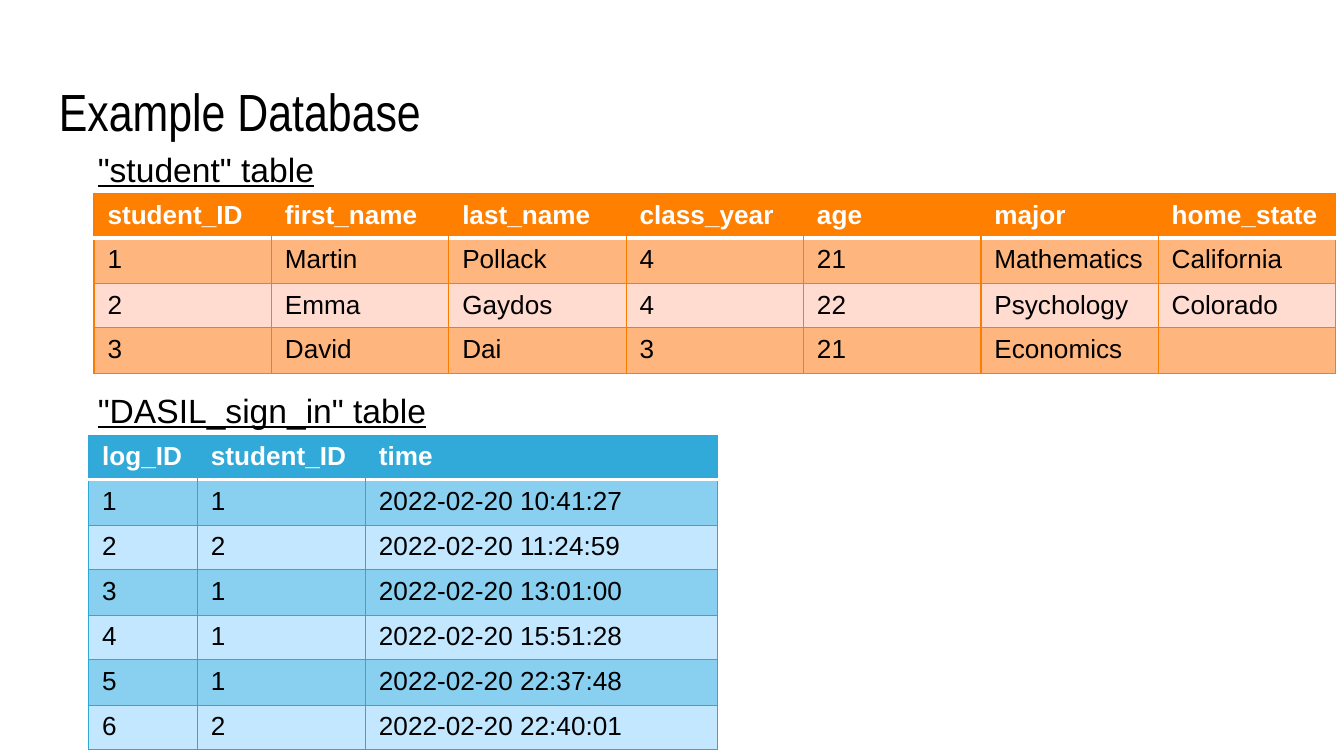
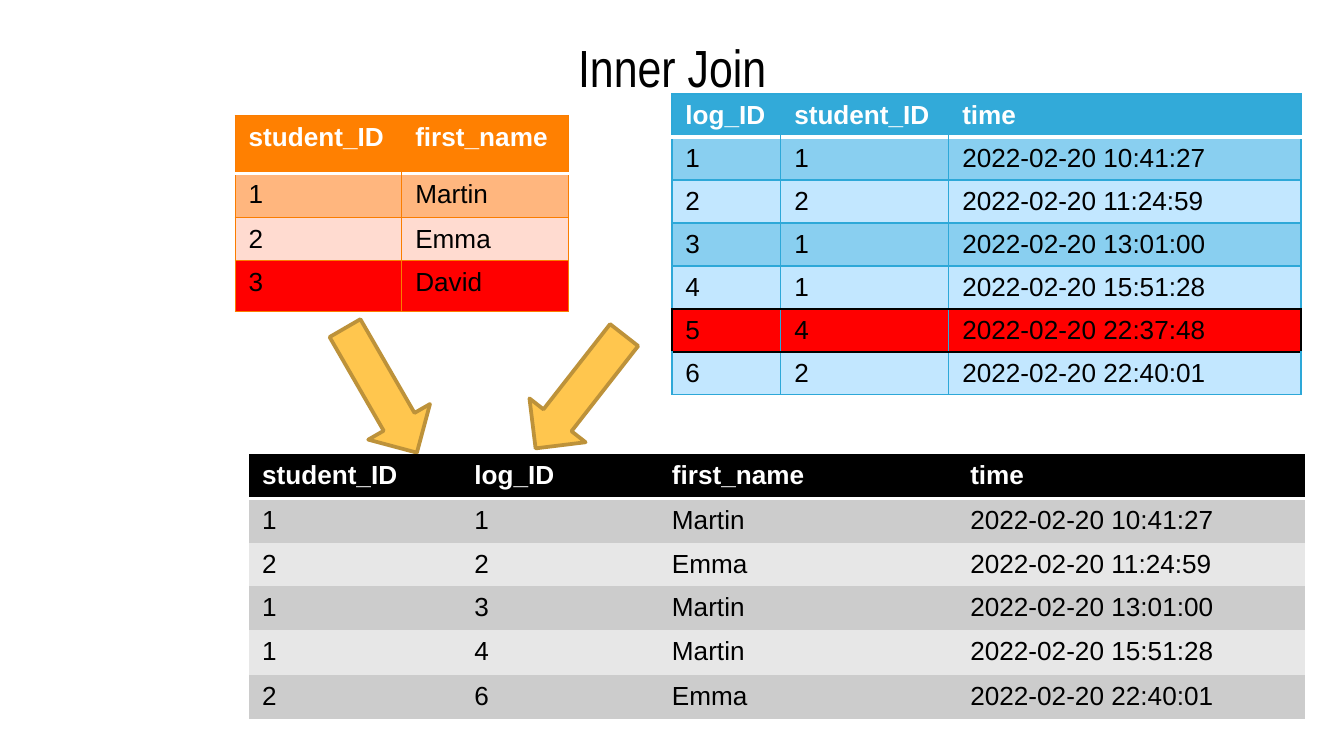
from dataclasses import dataclass
from typing import Optional

import pptx
import pptx.dml.color
import pptx.enum.shapes
import pptx.enum.text
import pptx.oxml.ns
import pptx.util
from lxml import etree

Inches = pptx.util.Inches
RGBColor = pptx.dml.color.RGBColor
Align = pptx.enum.text.PP_ALIGN
qn = pptx.oxml.ns.qn

BLACK = RGBColor(0x00, 0x00, 0x00)
WHITE = RGBColor(0xFF, 0xFF, 0xFF)
RED = RGBColor(0xFF, 0x00, 0x00)
ORANGE = RGBColor(0xFF, 0x80, 0x01)
ORANGE_MID = RGBColor(0xFF, 0xB6, 0x7E)
ORANGE_PALE = RGBColor(0xFF, 0xDB, 0xD0)
ORANGE_LINE = RGBColor(0xFA, 0x7D, 0x00)
BLUE = RGBColor(0x32, 0xAA, 0xD9)
BLUE_MID = RGBColor(0x89, 0xCF, 0xF0)
BLUE_PALE = RGBColor(0xC2, 0xE7, 0xFF)
BLUE_LINE = RGBColor(0x2D, 0xA8, 0xD8)
GREY_MID = RGBColor(0xCC, 0xCC, 0xCC)
GREY_PALE = RGBColor(0xE7, 0xE7, 0xE7)
GOLD = RGBColor(0xFF, 0xC6, 0x4E)
GOLD_LINE = RGBColor(0xBD, 0x92, 0x3A)

FONT = "Arial"
TITLE_FONT = "Arial Narrow"
NO_STYLE = "{2D5ABB26-0587-4C30-8999-92F81FD0307C}"
CELL_BOTTOM = Inches(0.03)


@dataclass(frozen=True)
class Theme:
    header: RGBColor
    odd: RGBColor
    even: RGBColor
    line: Optional[RGBColor]


@dataclass(frozen=True)
class Border:
    color: RGBColor
    width: float


@dataclass(frozen=True)
class DataTable:
    left: float
    top: float
    cols: list[float]
    heights: list[float]
    rows: list[list[str]]
    theme: Theme
    marked: Optional[int] = None  # row filled red
    outlined: bool = False  # black frame round the marked row


@dataclass(frozen=True)
class Arrow:
    left: float
    top: float
    rotation: float


ORANGE_THEME = Theme(ORANGE, ORANGE_MID, ORANGE_PALE, ORANGE_LINE)
BLUE_THEME = Theme(BLUE, BLUE_MID, BLUE_PALE, BLUE_LINE)
GREY_THEME = Theme(BLACK, GREY_MID, GREY_PALE, None)

# Data
STUDENTS = [
    ["student_ID", "first_name", "last_name", "class_year", "age", "major", "home_state"],
    ["1", "Martin", "Pollack", "4", "21", "Mathematics", "California"],
    ["2", "Emma", "Gaydos", "4", "22", "Psychology", "Colorado"],
    ["3", "David", "Dai", "3", "21", "Economics", ""],
]
SIGN_INS = [
    ["log_ID", "student_ID", "time"],
    ["1", "1", "2022-02-20 10:41:27"],
    ["2", "2", "2022-02-20 11:24:59"],
    ["3", "1", "2022-02-20 13:01:00"],
    ["4", "1", "2022-02-20 15:51:28"],
    ["5", "1", "2022-02-20 22:37:48"],
    ["6", "2", "2022-02-20 22:40:01"],
]
SIGN_IN_COLS = [0.81, 1.25, 2.62]
UNMATCHED = 5


def inner_join(students: list[list[str]], logs: list[list[str]]) -> list[list[str]]:
    names = {row[0]: row[1] for row in students}
    return [[sid, log, names[sid], time] for log, sid, time in logs if sid in names]


def write(tf, text: str, *, size: float, font: str = FONT, color: RGBColor = BLACK,
          bold: bool = False, underline: bool = False, align=Align.LEFT) -> None:
    p = tf.paragraphs[0]
    p.alignment = align
    if not text:  # keeps an empty cell as low as its neighbours
        etree.SubElement(p._p, qn("a:endParaRPr"), sz=str(int(size * 100)))
        return
    r = p.add_run()
    r.text = text
    r.font.size = pptx.util.Pt(size)
    r.font.name = font
    r.font.color.rgb = color
    r.font.bold = bold
    r.font.underline = underline


def add_text(s, text: str, left: float, top: float, width: float, height: float,
             inset: float = 0.05, **style) -> None:
    tf = s.shapes.add_textbox(Inches(left), Inches(top), Inches(width), Inches(height)).text_frame
    tf.word_wrap = True
    tf.margin_top = tf.margin_bottom = Inches(inset)
    write(tf, text, **style)


def add_title(s, text: str, top: float, align=Align.LEFT) -> None:
    add_text(s, text, 0.34, top, 9.32, 0.63, inset=0.1, size=28, font=TITLE_FONT, align=align)


def add_label(s, text: str, top: float) -> None:
    add_text(s, text, 0.63, top, 3, 0.4, size=18, underline=True)


def set_border(cell, side: str, border: Optional[Border]) -> None:
    ln = etree.SubElement(cell._tc.get_or_add_tcPr(), qn(f"a:ln{side}"))
    if border is None:
        etree.SubElement(ln, qn("a:noFill"))
        return
    ln.set("w", str(pptx.util.Pt(border.width)))
    fill = etree.SubElement(ln, qn("a:solidFill"))
    etree.SubElement(fill, qn("a:srgbClr"), val=str(border.color))


def row_border(t: DataTable, edge: int) -> Optional[Border]:
    """Border on the horizontal edge above row number `edge`."""
    if edge == 1:
        return Border(WHITE, 2)
    if t.outlined and edge in (t.marked, t.marked + 1):
        return Border(BLACK, 1)
    return Border(t.theme.line, 0.75) if t.theme.line else None


def column_border(t: DataTable, row: int, edge: int) -> Optional[Border]:
    """Border on the vertical edge left of column number `edge`."""
    outer = edge in (0, len(t.cols))
    if t.theme.line is None or (row == 0 and not outer):
        return None
    if t.outlined and row == t.marked and outer:
        return Border(BLACK, 1)
    return Border(t.theme.line, 0.75)


def row_fill(t: DataTable, row: int) -> RGBColor:
    if row == 0:
        return t.theme.header
    if row == t.marked:
        return RED
    return t.theme.odd if row % 2 else t.theme.even


def add_data_table(s, t: DataTable) -> None:
    table = s.shapes.add_table(len(t.rows), len(t.cols), Inches(t.left), Inches(t.top),
                               Inches(sum(t.cols)), Inches(sum(t.heights))).table
    table.first_row = table.horz_banding = False
    table._tbl.tblPr.find(qn("a:tableStyleId")).text = NO_STYLE
    for column, width in zip(table.columns, t.cols):
        column.width = Inches(width)
    for row, (texts, height) in enumerate(zip(t.rows, t.heights)):
        table.rows[row].height = Inches(height)
        for col, text in enumerate(texts):
            cell = table.cell(row, col)
            cell.margin_bottom = CELL_BOTTOM
            set_border(cell, "L", column_border(t, row, col))
            set_border(cell, "R", column_border(t, row, col + 1))
            set_border(cell, "T", row_border(t, row))
            set_border(cell, "B", row_border(t, row + 1))
            cell.fill.solid()
            cell.fill.fore_color.rgb = row_fill(t, row)
            write(cell.text_frame, text, size=14, bold=row == 0,
                  color=BLACK if row else WHITE)


def add_arrow(s, arrow: Arrow) -> None:
    sp = s.shapes.add_shape(pptx.enum.shapes.MSO_SHAPE.DOWN_ARROW, Inches(arrow.left),
                            Inches(arrow.top), Inches(0.53), Inches(1.07))
    sp.rotation = arrow.rotation
    sp.shadow.inherit = False
    sp.fill.solid()
    sp.fill.fore_color.rgb = GOLD
    sp.line.color.rgb = GOLD_LINE
    sp.line.width = pptx.util.Pt(2)


def build_database_slide(s) -> None:
    add_title(s, "Example Database", 0.49)
    add_data_table(s, DataTable(0.7, 1.44, [1.32] * 7, [0.33, 0.34, 0.33, 0.34],
                                STUDENTS, ORANGE_THEME))
    add_label(s, '"student" table', 1.06)
    add_data_table(s, DataTable(0.66, 3.24, SIGN_IN_COLS, [0.33, 0.34] * 3 + [0.33],
                                SIGN_INS, BLUE_THEME))
    add_label(s, '"DASIL_sign_in" table', 2.85)


def build_join_slide(s) -> None:
    add_title(s, "Inner Join", 0.16, Align.CENTER)

    # Inputs, with the rows that find no match in red
    names = [row[:2] for row in STUDENTS]
    logs = [list(row) for row in SIGN_INS]
    logs[UNMATCHED][1] = "4"
    add_data_table(s, DataTable(1.75, 0.86, [1.24] * 2, [0.43, 0.33, 0.32, 0.38],
                                names, ORANGE_THEME, marked=3))
    add_data_table(s, DataTable(5, 0.7, SIGN_IN_COLS, [0.32] * 7, logs, BLUE_THEME,
                                marked=UNMATCHED, outlined=True))

    # Result
    for arrow in (Arrow(2.57, 2.37, 330), Arrow(4.05, 2.38, 38)):
        add_arrow(s, arrow)
    joined = [["student_ID", "log_ID", "first_name", "time"]] + inner_join(names[1:], logs[1:])
    add_data_table(s, DataTable(1.85, 3.38, [1.58, 1.47, 2.22, 2.59],
                                [0.33, 0.33, 0.32, 0.33, 0.33, 0.33], joined, GREY_THEME))


def main() -> None:
    prs = pptx.Presentation()
    prs.slide_width = Inches(10)
    prs.slide_height = Inches(10) * 9 // 16
    for build in (build_database_slide, build_join_slide):
        build(prs.slides.add_slide(prs.slide_layouts[6]))
    prs.save("out.pptx")


if __name__ == "__main__":
    main()
